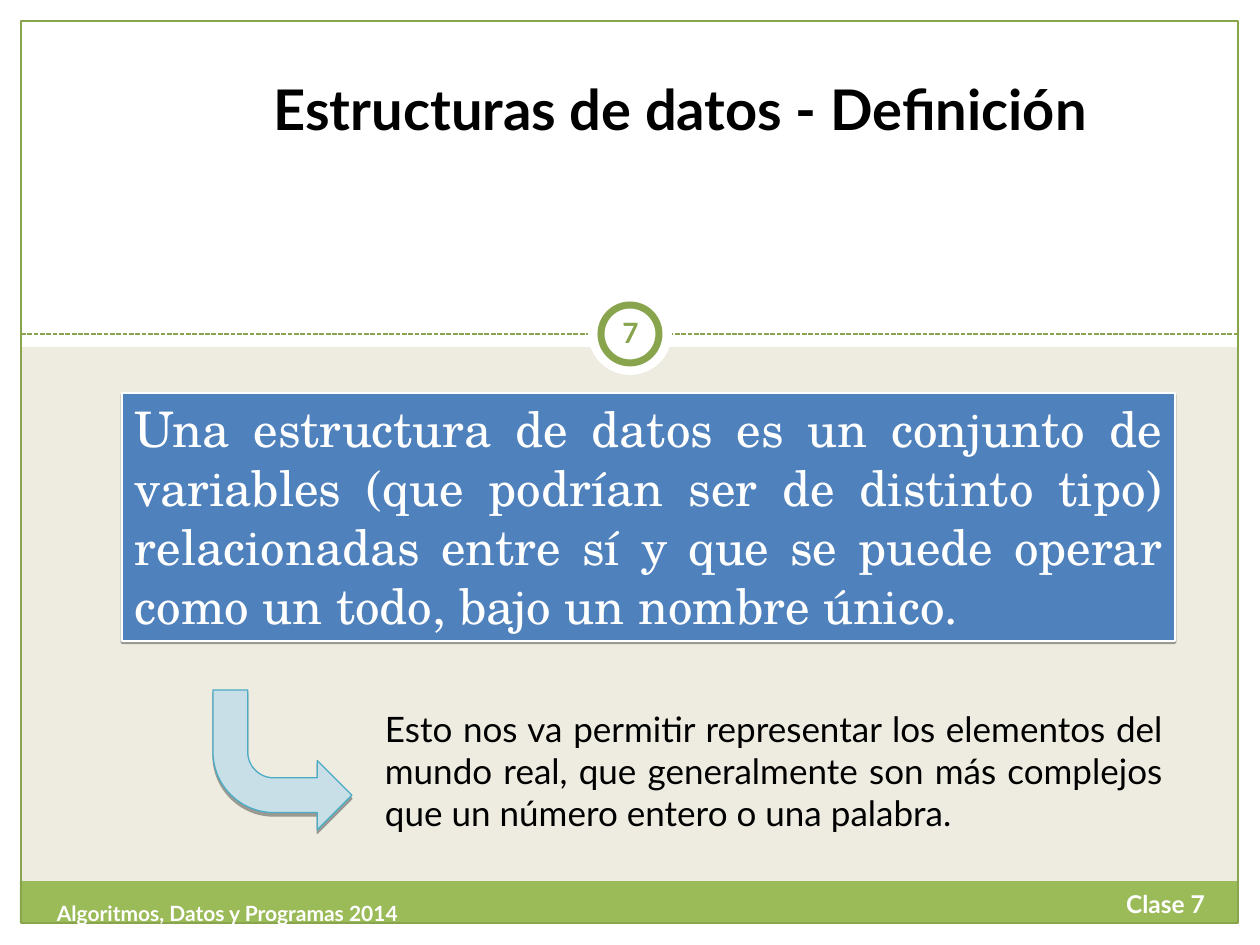
"""Builds the slide that defines data structures."""
from lxml import etree
from pptx import Presentation
from pptx.dml.color import RGBColor
from pptx.enum import dml, shapes, text
from pptx.oxml import ns
from pptx.util import Pt

PX = 914400 / 126
COLORS = {"white": "FFFFFF", "black": "000000", "sand": "EEECE1", "green": "9BBB59",
          "moss": "88A44D", "blue": "4F81BD", "ice": "C9DFE8", "teal": "4BACC6"}
COLOR = {name: RGBColor.from_string(value) for name, value in COLORS.items()}
KIND = shapes.MSO_SHAPE
ALIGN = text.PP_ALIGN
ANCHOR = text.MSO_ANCHOR


def add_panel(kind, box, fill, line=None, width=0, shadow=0):
    panel = slide.shapes.add_shape(kind, *[round(n * PX) for n in box])
    panel.shadow.inherit = False
    if fill:
        panel.fill.solid()
        panel.fill.fore_color.rgb = COLOR[fill]
    else:
        panel.fill.background()
    if line:
        panel.line.color.rgb = COLOR[line]
        panel.line.width = Pt(width)
    else:
        panel.line.fill.background()
    if shadow:
        effects = panel._element.spPr.find(ns.qn("a:effectLst"))
        outer = etree.SubElement(effects, ns.qn("a:outerShdw"), blurRad="0",
                                 dist=str(Pt(shadow)), dir="5400000", rotWithShape="0")
        tint = etree.SubElement(outer, ns.qn("a:srgbClr"), val=COLORS["black"])
        etree.SubElement(tint, ns.qn("a:alpha"), val="35000")
    return panel


def write(holder, words, size, color, align, anchor=ANCHOR.TOP, bold=False, font="Lato", inset=13):
    frame = holder.text_frame
    frame.word_wrap = True
    frame.vertical_anchor = anchor
    frame.margin_left = frame.margin_right = round(inset * PX)
    frame.margin_top = frame.margin_bottom = round(6 * PX)
    frame.text = words
    paragraph = frame.paragraphs[0]
    paragraph.alignment = align
    run = paragraph.runs[0].font
    run.name, run.size, run.bold = font, Pt(size), bold
    run.color.rgb = COLOR[color]


deck = Presentation()
deck.slide_width, deck.slide_height = round(1260 * PX), round(945 * PX)
slide = deck.slides.add_slide(deck.slide_layouts[6])
slide.background.fill.solid()
slide.background.fill.fore_color.rgb = COLOR["sand"]

for margin in [(0, 924, 1260, 21), (1239, 0, 21, 945), (0, 0, 21, 945), (0, 0, 1260, 347)]:
    add_panel(KIND.RECTANGLE, margin, "white")
add_panel(KIND.RECTANGLE, (20, 881, 1217, 42), "green")

divider = slide.shapes.add_connector(
    shapes.MSO_CONNECTOR.STRAIGHT, *[round(n * PX) for n in (21, 334, 1239, 334)])
divider.line.color.rgb = COLOR["moss"]
divider.line.width = Pt(0.91)
divider.line.dash_style = dml.MSO_LINE.SQUARE_DOT
etree.SubElement(divider._element.spPr, ns.qn("a:effectLst"))

add_panel(KIND.RECTANGLE, (21, 21, 1217, 902), None, "moss", 0.75)
add_panel(KIND.OVAL, (588, 291, 84, 84), "white")
add_panel(KIND.OVAL, (601, 305, 58, 58), "white", "moss", 4)

definition = add_panel(KIND.RECTANGLE, (122, 393, 1053, 248), "blue", "white", 1.59, shadow=1)
write(definition, "Una estructura de datos es un conjunto de variables (que podrían ser de "
      "distinto tipo) relacionadas entre sí y que se puede operar como un todo, bajo un "
      "nombre único.", 28, "white", ALIGN.JUSTIFY, font="TeX Gyre Schola")

bend = add_panel(KIND.BENT_ARROW, (213, 690, 139, 140), "ice", "teal", 0.75, shadow=2)
bend._element.spPr.xfrm.set("flipV", "1")

explanation = ("Esto nos va permitir representar los elementos del mundo real, que "
               "generalmente son más complejos que un número entero o una palabra.")
for box, words, size, color, align, anchor, bold, inset in [
    ((599, 302, 63, 60), "7", 16, "moss", ALIGN.CENTER, ANCHOR.MIDDLE, True, 6),
    ((186, -10, 989, 158), "Estructuras de datos - Definición", 32, "black",
     ALIGN.CENTER, ANCHOR.BOTTOM, True, 13),
    ((372, 701, 804, 181), explanation, 20, "black", ALIGN.JUSTIFY, ANCHOR.TOP, False, 13),
    ((798, 883, 420, 50), "Clase 7", 14, "white", ALIGN.RIGHT, ANCHOR.TOP, True, 13),
    ((44, 895, 494, 50), "Algoritmos, Datos y Programas 2014", 12, "white",
     ALIGN.LEFT, ANCHOR.TOP, True, 13),
]:
    label = slide.shapes.add_textbox(*[round(n * PX) for n in box])
    write(label, words, size, color, align, anchor, bold, inset=inset)

deck.save("out.pptx")
